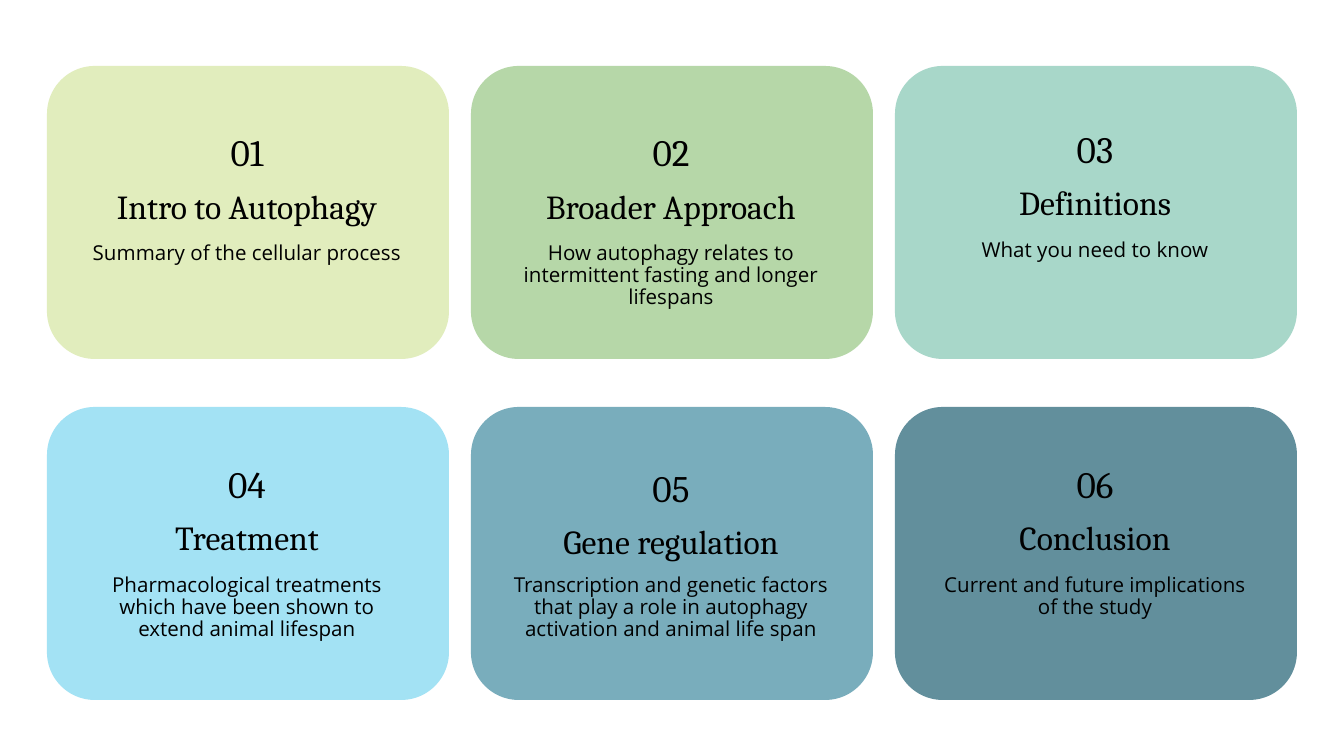
import pptx
import pptx.dml.color
import pptx.enum.shapes
import pptx.enum.text
import pptx.util

PX = 914400 / 134.4
THEME = {
    "fills": ["E1EDBD", "B6D7A8", "A8D7C9", "A3E2F4", "79ADBC", "628F9C"],
    "ink": "000000",
    "serif": "Cambria",
    "sans": "Open Sans",
    "number": 20,
    "heading": 18,
    "summary": 11,
}
TOPICS = [
    ("Intro to Autophagy", "Summary of the cellular process", 112, 230),
    ("Broader Approach", "How autophagy relates to intermittent fasting and longer lifespans", 112, 230),
    ("Definitions", "What you need to know", 109, 227),
    ("Treatment", "Pharmacological treatments which have been shown to extend animal lifespan", 444, 562),
    ("Gene regulation", "Transcription and genetic factors that play a role in autophagy activation and animal life span", 448, 562),
    ("Conclusion", "Current and future implications of the study", 444, 562),
]
CARD_LEFT, CARD_TOP, CARD_WIDTH, CARD_HEIGHT = 47, 66, 402, 293
COLUMN_STEP, ROW_STEP = 424, 341
TEXT_LEFT, TEXT_WIDTH = 75, 344
NUMBER_HEIGHT, HEADING_HEIGHT, SUMMARY_HEIGHT = 75, 93, 102
HEADING_OFFSET = 60


def emu(*lengths):
    return [pptx.util.Emu(round(length * PX)) for length in lengths]


def write(text, box=None, at=None, font=None, size=None, anchor="TOP", spacing=1.0):
    box = box or page.shapes.add_textbox(0, 0, 0, 0)
    box.left, box.top, box.width, box.height = emu(*at)
    frame = box.text_frame
    frame.word_wrap = True
    frame.auto_size = pptx.enum.text.MSO_AUTO_SIZE.NONE
    frame.vertical_anchor = pptx.enum.text.MSO_ANCHOR[anchor]
    inset = pptx.util.Inches(0.1)
    frame.margin_left = frame.margin_right = frame.margin_top = frame.margin_bottom = inset
    para = frame.paragraphs[0]
    para.alignment = pptx.enum.text.PP_ALIGN.CENTER
    para.line_spacing = spacing
    para.space_before = pptx.util.Pt(0)
    span = para.add_run()
    span.text = text
    span.font.name = font
    span.font.size = pptx.util.Pt(size)
    span.font.color.rgb = pptx.dml.color.RGBColor.from_string(THEME["ink"])


deck = pptx.Presentation()
deck.slide_width, deck.slide_height = emu(1344, 756)
page = deck.slides.add_slide(deck.slide_layouts[0])
title, subtitle = page.placeholders

for index, fill in enumerate(THEME["fills"]):
    row, column = divmod(index, 3)
    card = page.shapes.add_shape(
        pptx.enum.shapes.MSO_SHAPE.ROUNDED_RECTANGLE,
        *emu(CARD_LEFT + column * COLUMN_STEP, CARD_TOP + row * ROW_STEP, CARD_WIDTH, CARD_HEIGHT),
    )
    card.adjustments[0] = 0.163
    card.shadow.inherit = False
    card.fill.solid()
    card.fill.fore_color.rgb = pptx.dml.color.RGBColor.from_string(fill)
    card.line.fill.background()
    title.element.addprevious(card.element)

for index, (heading, summary, number_top, summary_top) in enumerate(TOPICS):
    left = TEXT_LEFT + index % 3 * COLUMN_STEP
    write(
        f"{index + 1:02d}",
        at=(left, number_top, TEXT_WIDTH, NUMBER_HEIGHT),
        font=THEME["serif"],
        size=THEME["number"],
        anchor="BOTTOM",
    )
    write(
        heading,
        box=title if index == 0 else None,
        at=(left, number_top + HEADING_OFFSET, TEXT_WIDTH, HEADING_HEIGHT),
        font=THEME["serif"],
        size=THEME["heading"],
    )
    write(
        summary,
        box=subtitle if index == 0 else None,
        at=(left, summary_top, TEXT_WIDTH, SUMMARY_HEIGHT),
        font=THEME["sans"],
        size=THEME["summary"],
        spacing=0.88,
    )

deck.save("out.pptx")
